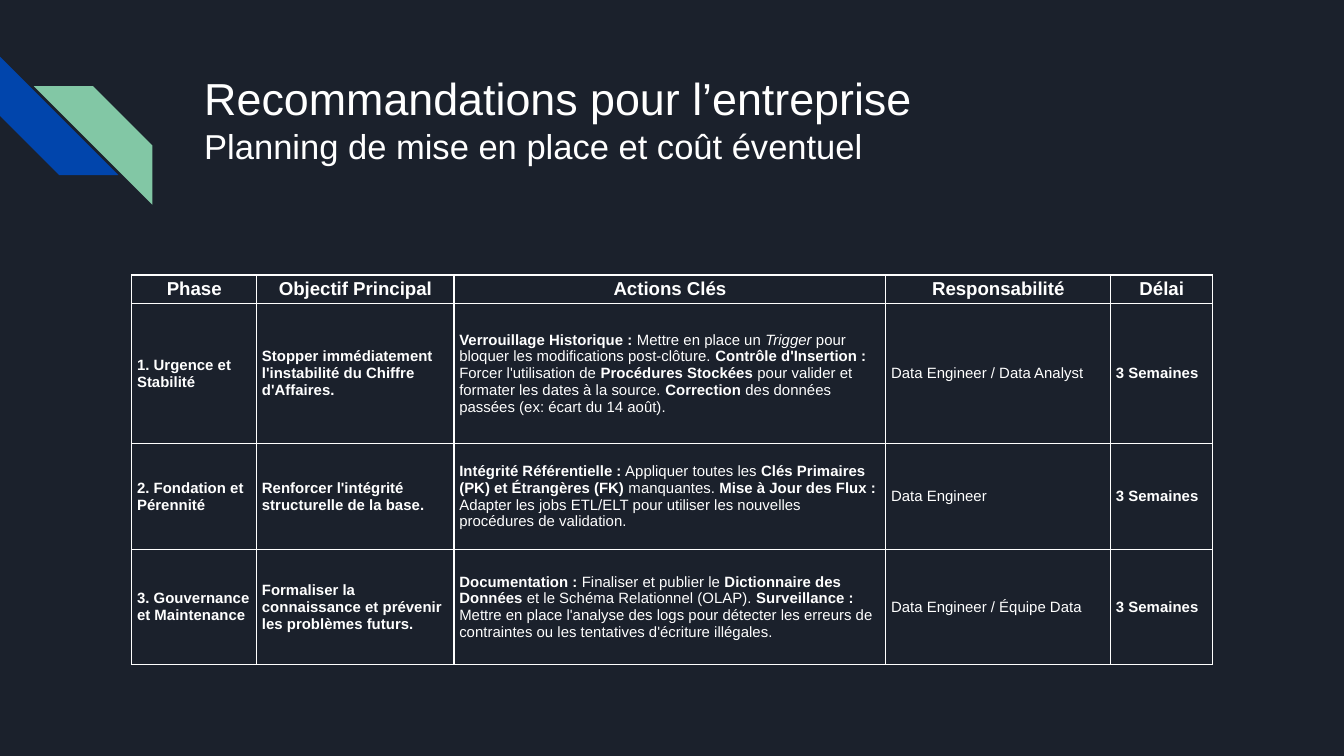
from lxml import etree
from pptx import Presentation
from pptx.dml.color import RGBColor
from pptx.enum.shapes import MSO_SHAPE
from pptx.enum.text import MSO_ANCHOR, MSO_AUTO_SIZE, PP_ALIGN
from pptx.oxml.ns import qn
from pptx.util import Cm, Pt

NIGHT = RGBColor(0x1B, 0x21, 0x2C)
BLUE = RGBColor(0x01, 0x45, 0xAC)
GREEN = RGBColor(0x82, 0xC7, 0xA5)
WHITE = RGBColor(0xFF, 0xFF, 0xFF)
FONT = "Arial"

COLUMN_WIDTHS = (2.36, 3.73, 8.16, 4.25, 1.93)
ROW_HEIGHTS = (0.54, 2.64, 2.01, 2.17)

# **bold** and *italic* mark the runs of a cell
ROWS = (
    ("**Phase**", "**Objectif Principal**", "**Actions Clés**",
     "**Responsabilité**", "**Délai**"),
    ("**1. Urgence et Stabilité**",
     "**Stopper immédiatement l'instabilité du Chiffre d'Affaires.**",
     "**Verrouillage Historique :** Mettre en place un *Trigger* pour bloquer "
     "les modifications post-clôture. **Contrôle d'Insertion :** Forcer "
     "l'utilisation de **Procédures Stockées** pour valider et formater les "
     "dates à la source. **Correction** des données passées "
     "(ex: écart du 14 août).",
     "Data Engineer / Data Analyst", "**3 Semaines**"),
    ("**2. Fondation et Pérennité**",
     "**Renforcer l'intégrité structurelle de la base.**",
     "**Intégrité Référentielle :** Appliquer toutes les **Clés Primaires (PK) "
     "et Étrangères (FK)** manquantes. **Mise à Jour des Flux :** Adapter les "
     "jobs ETL/ELT pour utiliser les nouvelles procédures de validation.",
     "Data Engineer", "**3 Semaines**"),
    ("**3. Gouvernance et Maintenance**",
     "**Formaliser la connaissance et prévenir les problèmes futurs.**",
     "**Documentation :** Finaliser et publier le **Dictionnaire des Données** "
     "et le Schéma Relationnel (OLAP). **Surveillance :** Mettre en place "
     "l'analyse des logs pour détecter les erreurs de contraintes ou les "
     "tentatives d'écriture illégales.",
     "Data Engineer / Équipe Data", "**3 Semaines**"),
)


def add_run(paragraph, text, size, bold=False, italic=False):
    run = paragraph.add_run()
    run.text = text
    font = run.font
    font.name, font.size, font.bold, font.italic = FONT, Pt(size), bold, italic
    font.color.rgb = WHITE


def add_marked_text(paragraph, text, size):
    for i, part in enumerate(text.split("**")):
        for j, piece in enumerate(part.split("*")):
            if piece:
                add_run(paragraph, piece, size, i % 2 == 1, j % 2 == 1)


def add_stripe(slide, left, top, color):
    stripe = slide.shapes.add_shape(
        MSO_SHAPE.DIAGONAL_STRIPE, Cm(left), Cm(top), Cm(2.24), Cm(2.24))
    stripe.adjustments[0] = 0.5
    stripe.shadow.inherit = False
    stripe.fill.solid()
    stripe.fill.fore_color.rgb = color
    stripe.line.fill.background()
    return stripe


def format_title(title):
    title.left, title.top = Cm(3.61), Cm(1.09)
    title.width, title.height = Cm(19.56), Cm(2.54)
    frame = title.text_frame
    frame.word_wrap = True
    frame.auto_size = MSO_AUTO_SIZE.NONE
    frame.vertical_anchor = MSO_ANCHOR.TOP
    frame.margin_left = frame.margin_right = Cm(0.25)
    frame.margin_top = frame.margin_bottom = Cm(0.25)
    paragraph = frame.paragraphs[0]
    paragraph.alignment = PP_ALIGN.LEFT
    add_run(paragraph, "Recommandations pour l’entreprise", 24)
    paragraph.add_line_break()
    add_run(paragraph, "Planning de mise en place et coût éventuel", 18.5)


def set_borders(cell):
    properties = cell._tc.get_or_add_tcPr()
    for position, side in enumerate(("a:lnL", "a:lnR", "a:lnT", "a:lnB")):
        line = etree.Element(qn(side), w=str(Pt(0.75)))
        fill = etree.SubElement(line, qn("a:solidFill"))
        etree.SubElement(fill, qn("a:srgbClr"), val=str(WHITE))
        properties.insert(position, line)


def fill_cell(cell, text, is_header):
    cell.fill.background()
    cell.vertical_anchor = MSO_ANCHOR.MIDDLE
    cell.margin_left = cell.margin_right = Cm(0.1)
    cell.margin_top = cell.margin_bottom = Cm(0.07)
    paragraph = cell.text_frame.paragraphs[0]
    paragraph.alignment = PP_ALIGN.CENTER if is_header else PP_ALIGN.LEFT
    add_marked_text(paragraph, text, 10 if is_header else 8)
    set_borders(cell)


def add_planning_table(slide):
    table = slide.shapes.add_table(
        len(ROWS), len(COLUMN_WIDTHS), Cm(2.49), Cm(5.2),
        Cm(sum(COLUMN_WIDTHS)), Cm(sum(ROW_HEIGHTS))).table
    table.horz_banding = False
    for column, width in zip(table.columns, COLUMN_WIDTHS):
        column.width = Cm(width)
    for r, (texts, height) in enumerate(zip(ROWS, ROW_HEIGHTS)):
        table.rows[r].height = Cm(height)
        for c, text in enumerate(texts):
            fill_cell(table.cell(r, c), text, r == 0)


def main():
    prs = Presentation()
    prs.slide_width, prs.slide_height = Cm(25.4), Cm(14.29)
    slide = prs.slides.add_slide(prs.slide_layouts[5])
    slide.background.fill.solid()
    slide.background.fill.fore_color.rgb = NIGHT

    # Corner decoration
    add_stripe(slide, 0, 1.07, BLUE).rotation = 270
    green_stripe = add_stripe(slide, 0.64, 1.63, GREEN)
    green_stripe._element.spPr.xfrm.set("flipH", "1")

    # Title and planning
    format_title(slide.shapes.title)
    add_planning_table(slide)
    prs.save("out.pptx")


main()
